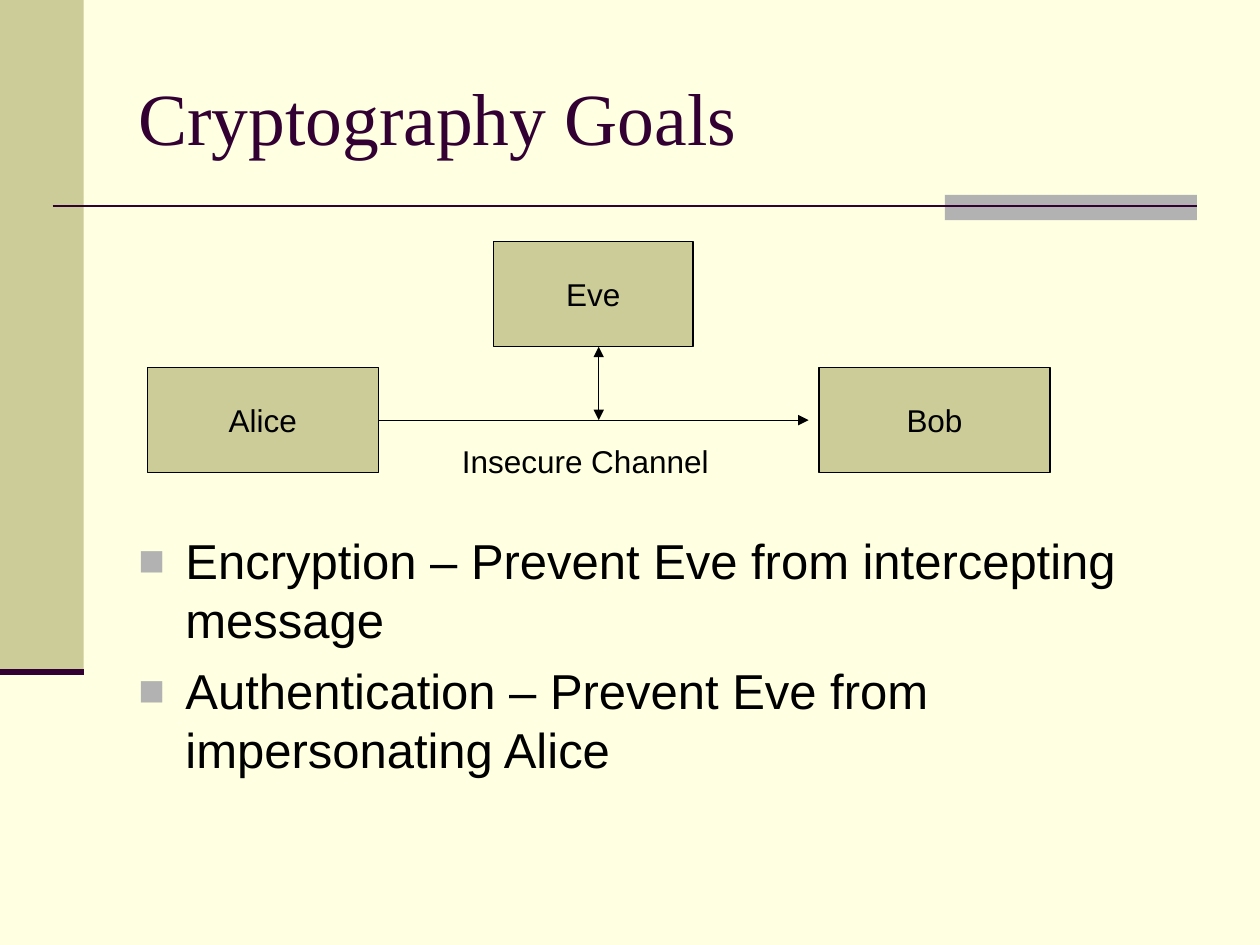
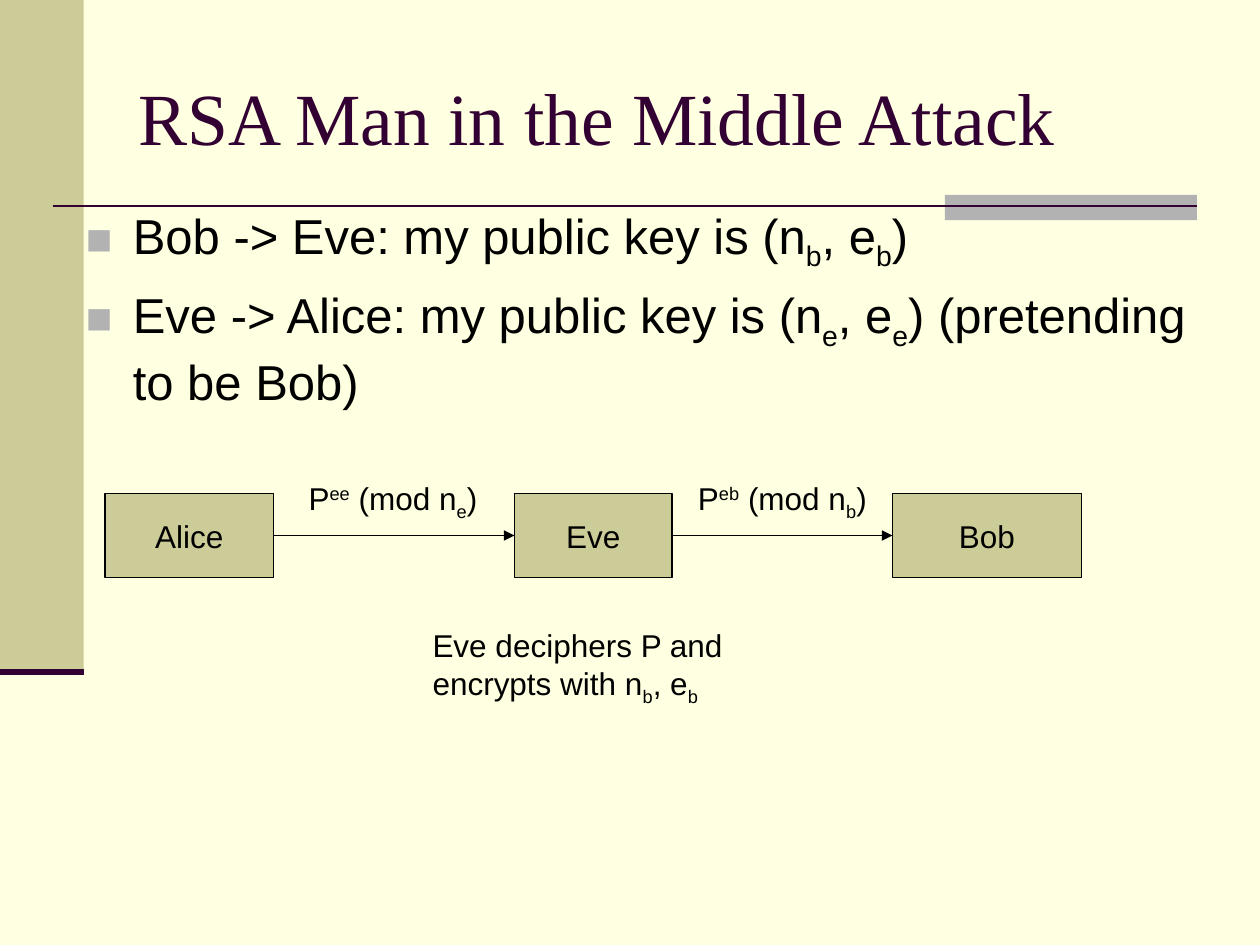
from dataclasses import dataclass

from lxml.etree import SubElement
from pptx import Presentation
from pptx.dml.color import RGBColor
from pptx.enum.shapes import MSO_CONNECTOR, MSO_SHAPE
from pptx.enum.text import MSO_ANCHOR, MSO_AUTO_SIZE, PP_ALIGN
from pptx.oxml.ns import qn
from pptx.util import Cm, Pt

# Content: lengths in cm; {_x} is a subscript, {^x} a superscript
GOALS = {
    "title": "Cryptography Goals",
    "bullets": ["Encryption – Prevent Eve from intercepting message",
                "Authentication – Prevent Eve from impersonating Alice"],
    "bullets_at": (2.54, 10.58, 21.59, 6.46),
    "boxes": {"Alice": (2.97, 7.41, 4.66, 2.12),
              "Bob": (16.51, 7.41, 4.66, 2.12),
              "Eve": (9.95, 4.87, 4.02, 2.12)},
    "labels": [(["Insecure Channel"], (9.06, 8.79, 5.49, 1.02))],
}
ATTACK = {
    "title": "RSA Man in the Middle Attack",
    "bullets": ["Bob -> Eve: my public key is (n{_b}, e{_b})",
                "Eve -> Alice: my public key is (n{_e}, e{_e}) (pretending to be Bob)"],
    "bullets_at": (1.48, 4.02, 22.86, 4.87),
    "boxes": {"Alice": (2.12, 9.95, 3.39, 1.69),
              "Eve": (10.37, 9.95, 3.18, 1.69),
              "Bob": (17.99, 9.95, 3.81, 1.69)},
    "labels": [(["P{^ee} (mod n{_e})"], (5.97, 9.53, 3.91, 1.12)),
               (["P{^eb} (mod n{_b})"], (13.82, 9.53, 3.91, 1.12)),
               (["Eve deciphers P and", "encrypts with n{_b}, e{_b}"],
                (8.47, 12.5, 6.35, 1.88))],
}
TITLE_AT = (2.54, 0.76, 21.59, 3.18)
CHANNEL_GAP = 0.21  # between the channel's arrowhead and Bob
TAP_X = 12.07       # where Eve taps the channel


@dataclass(frozen=True)
class Theme:
    paper: str = "FFFFE1"
    olive: str = "CCCC99"
    grey: str = "B2B2B2"
    plum: str = "330033"
    ink: str = "000000"
    title: tuple = ("Times New Roman", 42, "330033")
    body: tuple = ("Arial", 28, "000000")
    small: tuple = ("Arial", 18, "000000")
    thin: float = 0.75


THEME = Theme()
BASELINES = {"_": "-25000", "^": "30000"}


def rgb(color):
    return RGBColor.from_string(color)


def apply(obj, values):
    for name, value in values.items():
        setattr(obj, name, value)


# Text
def add_runs(p, text, style):
    name, size, color = style
    for piece in filter(None, text.replace("}", "{").split("{")):
        baseline = BASELINES.get(piece[0])
        r = p.add_run()
        r.text = piece[1:] if baseline else piece
        apply(r.font, {"name": name, "size": Pt(size)})
        r.font.color.rgb = rgb(color)
        if baseline:
            r._r.get_or_add_rPr().set("baseline", baseline)


def add_bullet(p):
    p.space_before = Pt(7)
    pPr = p._p.get_or_add_pPr()
    pPr.set("marL", str(Cm(0.95)))
    pPr.set("indent", str(-Cm(0.95)))
    SubElement(SubElement(pPr, qn("a:buClr")), qn("a:srgbClr")).set("val", THEME.grey)
    for tag, key, value in (("a:buSzPct", "val", "90000"),
                            ("a:buFont", "typeface", "Arial"),
                            ("a:buChar", "char", "■")):
        SubElement(pPr, qn(tag)).set(key, value)


def write(sp, lines, style, bullets=False, align=PP_ALIGN.LEFT, **frame):
    tf = sp.text_frame
    apply(tf, {"word_wrap": True, "vertical_anchor": MSO_ANCHOR.TOP, **frame})
    for i, line in enumerate(lines):
        p = tf.add_paragraph() if i else tf.paragraphs[0]
        p.alignment = align
        if bullets:
            add_bullet(p)
        add_runs(p, line, style)


def add_text(s, at, lines, style, **options):
    write(s.shapes.add_textbox(*map(Cm, at)), lines, style, **options)


# Shapes and lines
def add_rect(s, at, fill, outline=None):
    sp = s.shapes.add_shape(MSO_SHAPE.RECTANGLE, *map(Cm, at))
    sp.shadow.inherit = False
    sp.fill.solid()
    sp.fill.fore_color.rgb = rgb(fill)
    if outline:
        sp.line.color.rgb = rgb(outline)
        sp.line.width = Pt(THEME.thin)
    else:
        sp.line.fill.background()
    return sp


def add_line(s, start, end, color=THEME.ink, width=THEME.thin, heads=()):
    line = s.shapes.add_connector(MSO_CONNECTOR.STRAIGHT, *map(Cm, start + end))
    line.line.color.rgb = rgb(color)
    line.line.width = Pt(width)
    for head in heads:
        SubElement(line.line._get_or_add_ln(), qn(head)).set("type", "triangle")
    SubElement(line._element.spPr, qn("a:effectLst"))


def add_arrow(s, start, end, both=False):
    add_line(s, start, end, heads=("a:headEnd", "a:tailEnd") if both else ("a:tailEnd",))


def middle(box):
    return box[1] + box[3] / 2


def link(s, source, target, gap=0):
    y = middle(source)
    add_arrow(s, (source[0] + source[2], y), (target[0] - gap, y))


# Parts every slide has
def add_slide(prs, content):
    s = prs.slides.add_slide(prs.slide_layouts[6])
    s.background.fill.solid()
    s.background.fill.fore_color.rgb = rgb(THEME.paper)
    add_rect(s, (0, 0, 1.69, 13.55), THEME.olive)
    add_rect(s, (19.05, 3.93, 5.08, 0.51), THEME.grey)
    add_line(s, (1.06, 4.15), (24.13, 4.15), THEME.plum, 1.5)
    add_line(s, (0, 13.55), (1.69, 13.55), THEME.plum, 3.5)
    add_text(s, TITLE_AT, [content["title"]], THEME.title,
             vertical_anchor=MSO_ANCHOR.MIDDLE)
    add_text(s, content["bullets_at"], content["bullets"], THEME.body, bullets=True)
    for name, at in content["boxes"].items():
        write(add_rect(s, at, THEME.olive, THEME.ink), [name], THEME.small,
              align=PP_ALIGN.CENTER, word_wrap=False,
              vertical_anchor=MSO_ANCHOR.MIDDLE)
    for lines, at in content["labels"]:
        add_text(s, at, lines, THEME.small, word_wrap=False,
                 auto_size=MSO_AUTO_SIZE.SHAPE_TO_FIT_TEXT)
    return s


def main():
    prs = Presentation()
    apply(prs, {"slide_width": Cm(25.4), "slide_height": Cm(19.05)})

    # Goals: Eve taps the channel from Alice to Bob
    s = add_slide(prs, GOALS)
    boxes = GOALS["boxes"]
    alice, bob, eve = boxes["Alice"], boxes["Bob"], boxes["Eve"]
    link(s, alice, bob, CHANNEL_GAP)
    add_arrow(s, (TAP_X, eve[1] + eve[3]), (TAP_X, middle(alice)), both=True)

    # Attack: Eve sits between Alice and Bob
    s = add_slide(prs, ATTACK)
    chain = list(ATTACK["boxes"].values())
    for source, target in zip(chain, chain[1:]):
        link(s, source, target)

    prs.save("out.pptx")


if __name__ == "__main__":
    main()
